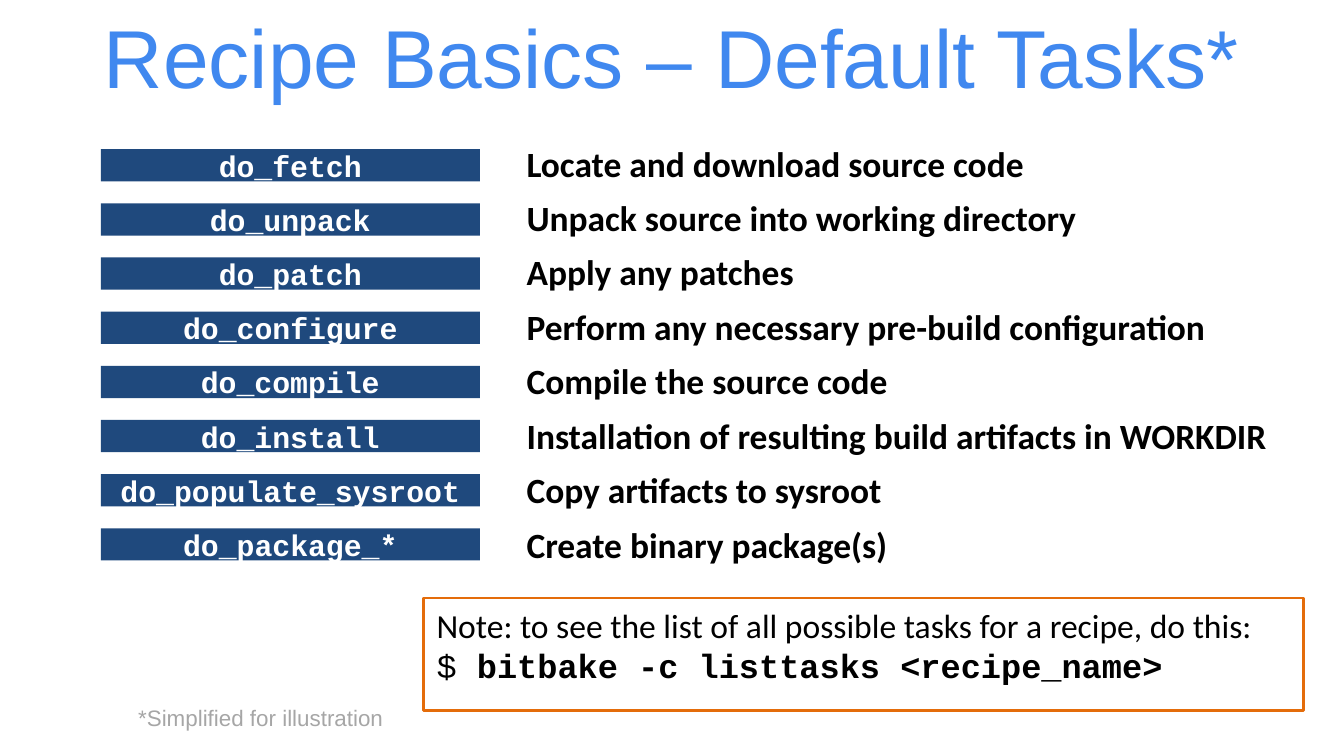
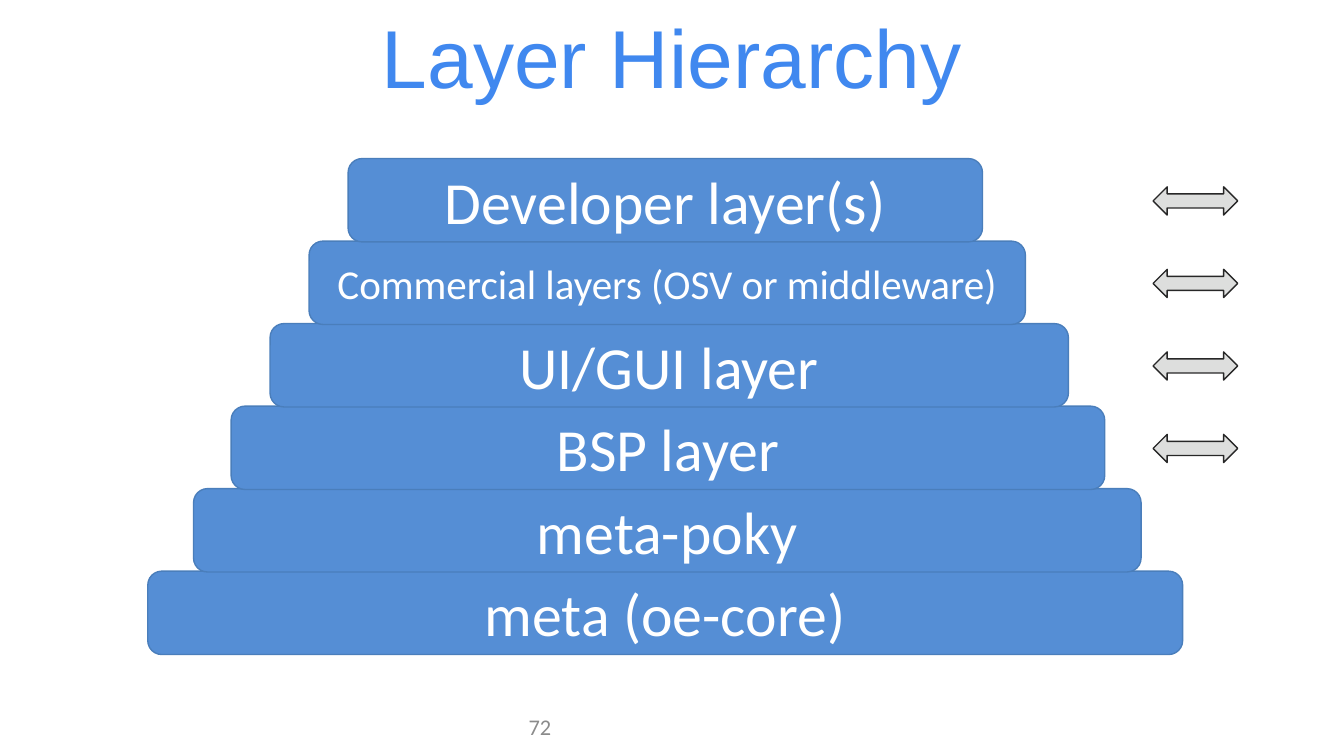
from pptx import Presentation
from pptx.dml.color import RGBColor
from pptx.enum.shapes import MSO_SHAPE
from pptx.enum.text import MSO_ANCHOR, PP_ALIGN
from pptx.util import Inches, Pt

RECT, ROUNDED = MSO_SHAPE.RECTANGLE, MSO_SHAPE.ROUNDED_RECTANGLE
DOUBLE_ARROW = MSO_SHAPE.LEFT_RIGHT_ARROW
TOP, MIDDLE, BOTTOM = MSO_ANCHOR.TOP, MSO_ANCHOR.MIDDLE, MSO_ANCHOR.BOTTOM
LEFT, CENTER, RIGHT = PP_ALIGN.LEFT, PP_ALIGN.CENTER, PP_ALIGN.RIGHT

COLORS = {
    "title": "4088EF", "text": "000000", "white": "FFFFFF",
    "task": "1F497D", "note": "E46C0A", "footnote": "A6A6A6",
    "layer": "558ED5", "layer_edge": "4A7EBB",
    "arrow": "DDDEDD", "arrow_edge": "272727", "number": "8B8B8B",
}
SANS, BODY, MONO = "Arial", "Calibri", "Courier New"
COLUMNS = 100  # square grid cells across the slide

TASKS = [
    ("do_fetch", "Locate and download source code"),
    ("do_unpack", "Unpack source into working directory"),
    ("do_patch", "Apply any patches"),
    ("do_configure", "Perform any necessary pre-build configuration"),
    ("do_compile", "Compile the source code"),
    ("do_install", "Installation of resulting build artifacts in WORKDIR"),
    ("do_populate_sysroot", "Copy artifacts to sysroot"),
    ("do_package_*", "Create binary package(s)"),
]
# Name, left column, columns wide, text size, has an arrow
LAYERS = [
    ("Developer layer(s)", 25.9, 47.2, 32, True),
    ("Commercial layers (OSV or middleware)", 23, 53.3, 22, True),
    ("UI/GUI layer", 20.1, 59.4, 32, True),
    ("BSP layer", 17.2, 65, 32, True),
    ("meta-poky", 14.4, 70.5, 32, False),
    ("meta (oe-core)", 11, 77, 32, False),
]


def color(name):
    return RGBColor.from_string(COLORS[name])


def run(text, size, font=BODY, ink="text", bold=False):
    return text, size, font, ink, bold


class SlideBuilder:
    def __init__(self):
        self.deck = Presentation()
        self.deck.slide_width = Inches(10)
        self.deck.slide_height = Inches(5.625)
        self.cell = self.deck.slide_width / COLUMNS
        self.page = None

    def new_page(self, title):
        self.page = self.deck.slides.add_slide(self.deck.slide_layouts[6])
        self.text((5, 0.7, 90, 6.9), [[run(title, 44, SANS, "title")]],
                  CENTER, MIDDLE)

    def place(self, area):
        return [round(length * self.cell) for length in area]

    def fill_text(self, box, paragraphs, align, anchor, wrap=True,
                  bottom=0.05):
        frame = box.text_frame
        frame.word_wrap = wrap
        frame.vertical_anchor = anchor
        frame.margin_left = frame.margin_right = Inches(0.1)
        frame.margin_top, frame.margin_bottom = Inches(0.05), Inches(bottom)
        for index, runs in enumerate(paragraphs):
            para = frame.add_paragraph() if index else frame.paragraphs[0]
            para.alignment = align
            for text, size, font, ink, bold in runs:
                span = para.add_run()
                span.text = text
                span.font.size = Pt(size)
                span.font.name = font
                span.font.bold = bold
                span.font.color.rgb = color(ink)

    def text(self, area, paragraphs, align=LEFT, anchor=TOP, **options):
        box = self.page.shapes.add_textbox(*self.place(area))
        self.fill_text(box, paragraphs, align, anchor, **options)

    def shape(self, kind, area, fill=None, line=None, weight=0.75,
              paragraphs=(), align=CENTER, anchor=MIDDLE):
        box = self.page.shapes.add_shape(kind, *self.place(area))
        box.shadow.inherit = False
        if fill:
            box.fill.solid()
            box.fill.fore_color.rgb = color(fill)
        else:
            box.fill.background()
        if line:
            box.line.color.rgb = color(line)
            box.line.width = Pt(weight)
        else:
            box.line.fill.background()
        self.fill_text(box, paragraphs, align, anchor)


def build_tasks(builder):
    builder.new_page("Recipe Basics – Default Tasks*")

    # Task names with their descriptions
    for index, (task, description) in enumerate(TASKS):
        builder.shape(RECT, (7.5, 11.1 + 4.03 * index, 28.2, 2.4), "task",
                      paragraphs=[[run(task, 16, MONO, "white", True)]])
        builder.text((38.2, 10.05 + 4.05 * index, 60, 4),
                     [[run(description, 19, bold=True)]])

    # Note and footnote
    note = "Note: to see the list of all possible tasks for a recipe, do this:"
    command = "bitbake -c listtasks <recipe_name>"
    builder.shape(RECT, (31.5, 44.5, 65.5, 8.4), line="note", weight=1.5,
                  paragraphs=[[run(note, 18)],
                              [run("$ ", 18, MONO),
                               run(command, 18, MONO, bold=True)]],
                  align=LEFT, anchor=TOP)
    builder.text((9.3, 51.9, 20.3, 2.2),
                 [[run("*Simplified for illustration", 12, SANS, "footnote")]],
                 wrap=False)


def build_layers(builder):
    builder.new_page("Layer Hierarchy")
    builder.text((31.7, 52.1, 10.3, 3), [[run("72", 12, ink="number")]],
                 RIGHT, BOTTOM, bottom=0)

    # Stack from the base up, so that each layer overlaps the one below
    for index, layer in reversed(list(enumerate(LAYERS))):
        name, left, width, size, has_arrow = layer
        top = 11.8 + 6.14 * index
        builder.shape(ROUNDED, (left, top, width, 6.2), "layer", "layer_edge",
                      paragraphs=[[run(name, size, ink="white")]])
        if has_arrow:
            builder.shape(DOUBLE_ARROW, (85.8, top + 2.1, 6.3, 2.1),
                          "arrow", "arrow_edge")


def main():
    builder = SlideBuilder()
    build_tasks(builder)
    build_layers(builder)
    builder.deck.save("out.pptx")


if __name__ == "__main__":
    main()
